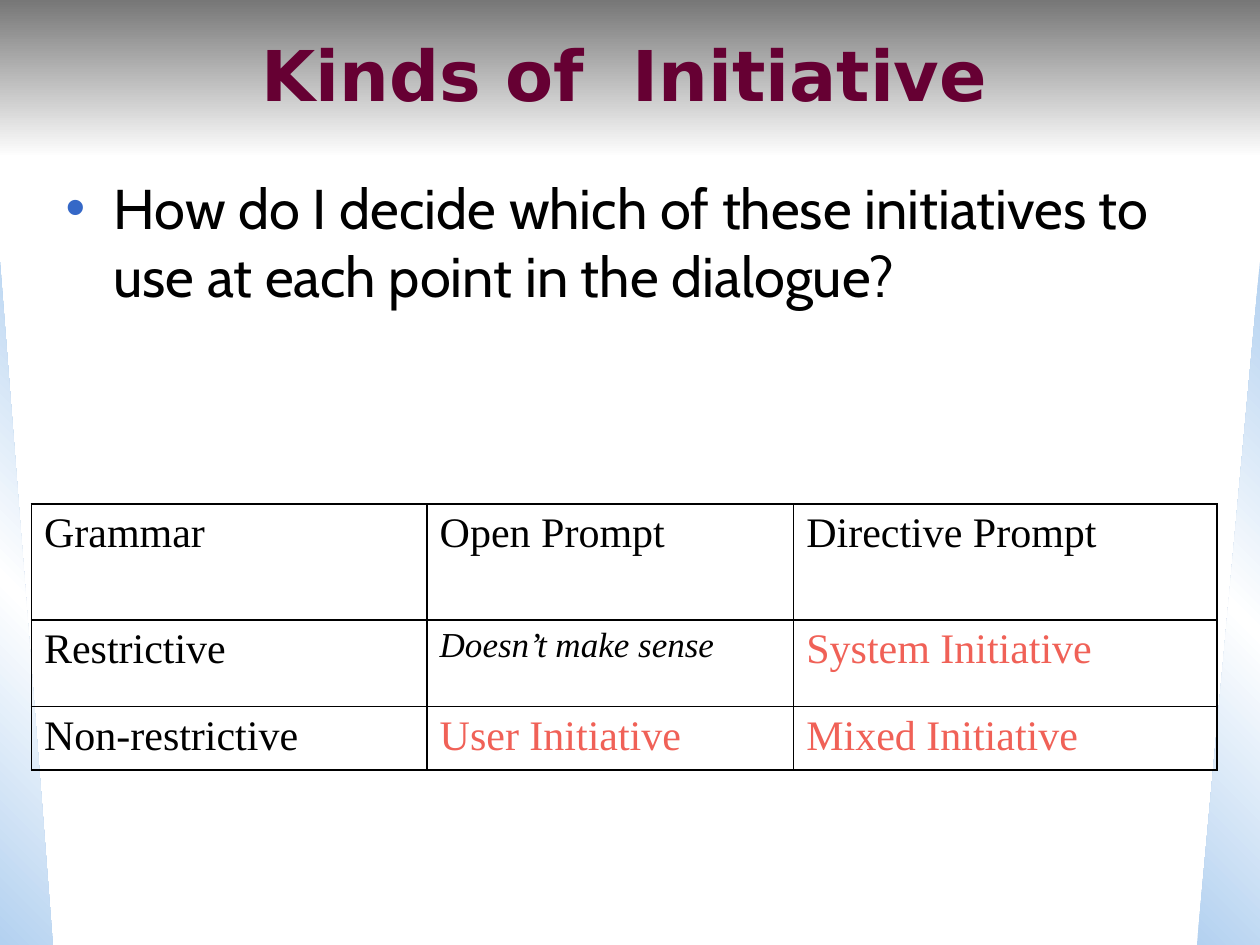
from lxml import etree
from pptx import Presentation
from pptx.dml.color import RGBColor
from pptx.enum.shapes import MSO_SHAPE
from pptx.enum.text import MSO_ANCHOR, MSO_AUTO_SIZE, PP_ALIGN
from pptx.oxml import parse_xml
from pptx.oxml.ns import nsdecls, qn
from pptx.util import Inches, Pt

RECT, TRIANGLE = MSO_SHAPE.RECTANGLE, MSO_SHAPE.RIGHT_TRIANGLE
TOP, MIDDLE = MSO_ANCHOR.TOP, MSO_ANCHOR.MIDDLE
LEFT, CENTER = PP_ALIGN.LEFT, PP_ALIGN.CENTER
NO_AUTOFIT = MSO_AUTO_SIZE.NONE

BLACK = RGBColor(0x00, 0x00, 0x00)
WHITE = RGBColor(0xFF, 0xFF, 0xFF)
GRAY = RGBColor(0x77, 0x77, 0x77)
SKY = RGBColor(0xB3, 0xD1, 0xF0)
BLUE = RGBColor(0x35, 0x68, 0xC7)
PLUM = RGBColor(0x66, 0x00, 0x33)
CORAL = RGBColor(0xF0, 0x61, 0x57)


def add_text(tf, text, color, **formats):
    p = tf.paragraphs[0]
    r = p.add_run()
    r.text = text
    r.font.color.rgb = color
    for name, value in formats.items():
        setattr(r.font, name, value)
    return p


def set_gradient(shape, colors, angle):
    step = 100000 // (len(colors) - 1)
    stops = "".join(
        f'<a:gs pos="{i * step}"><a:srgbClr val="{c}"/></a:gs>' for i, c in enumerate(colors)
    )
    fill = parse_xml(
        f'<a:gradFill {nsdecls("a")} rotWithShape="1"><a:gsLst>{stops}</a:gsLst>'
        f'<a:lin ang="{angle * 60000}" scaled="0"/></a:gradFill>'
    )
    shape._element.spPr.find(qn("a:prstGeom")).addnext(fill)


prs = Presentation()
prs.slide_width, prs.slide_height = Inches(10), Inches(7.5)
s = prs.slides.add_slide(prs.slide_layouts[1])

backdrop = [
    (RECT, (0, 0, 10, 1.25), (GRAY, WHITE), 90, False),
    (TRIANGLE, (0, 2.08, 0.42, 5.42), (SKY, WHITE, SKY), 135, False),
    (TRIANGLE, (9.5, 2.08, 0.5, 5.42), (SKY, WHITE, SKY), 225, True),
]
for i, (kind, box, colors, angle, flipped) in enumerate(backdrop):
    sp = s.shapes.add_shape(kind, *map(Inches, box))
    sp.shadow.inherit = False
    sp.line.fill.background()
    set_gradient(sp, colors, angle)
    if flipped:
        sp._element.spPr.xfrm.set("flipH", "1")
    s.shapes._spTree.insert(2 + i, sp._element)

title, body = s.shapes.title, s.placeholders[1]
for sp, box, anchor in [
    (title, (0.08, 0, 9.75, 1.17), MIDDLE),
    (body, (0.42, 1.33, 9, 5.75), TOP),
]:
    sp.left, sp.top, sp.width, sp.height = map(Inches, box)
    tf = sp.text_frame
    tf.word_wrap, tf.auto_size, tf.vertical_anchor = True, NO_AUTOFIT, anchor

p = add_text(title.text_frame, "Kinds of  Initiative", PLUM,
             name="DejaVu Sans", size=Pt(40), bold=True)
p.alignment = CENTER

question = "How do I decide which of these initiatives to use at each point in the dialogue?"
p = add_text(body.text_frame, question, BLACK, name="Cabin", size=Pt(32))
p.alignment, p.space_before = LEFT, Pt(0)
pPr = p._p.get_or_add_pPr()
pPr.set("marL", str(Inches(0.38)))
pPr.set("indent", str(-Inches(0.38)))
bullet_color = etree.SubElement(pPr, qn("a:buClr"))
etree.SubElement(bullet_color, qn("a:srgbClr"), val=str(BLUE))
etree.SubElement(pPr, qn("a:buChar"), char="•")

rows = [
    ["Grammar", "Open Prompt", "Directive Prompt"],
    ["Restrictive", "Doesn’t make sense", "System Initiative"],
    ["Non-restrictive", "User Initiative", "Mixed Initiative"],
]
rule_widths = [1.08, 1.47, 0.45, 1.08]

table = s.shapes.add_table(3, 3, Inches(0.25), Inches(4), Inches(9.41), Inches(2.11)).table
table.first_row = table.horz_banding = False
for column, width in zip(table.columns, (3.14, 2.91, 3.36)):
    column.width = Inches(width)
for row, height in zip(table.rows, (0.92, 0.69, 0.5)):
    row.height = Inches(height)

for i, texts in enumerate(rows):
    for j, text in enumerate(texts):
        cell = table.cell(i, j)
        initiative = text.endswith("Initiative")
        aside = text.startswith("Doesn’t")
        add_text(cell.text_frame, text, CORAL if initiative else BLACK,
                 name="Times New Roman", size=Pt(20 if aside else 24), italic=aside)
        tcPr = cell._tc.get_or_add_tcPr()
        for side, rule in (("L", j), ("R", j + 1), ("T", i), ("B", i + 1)):
            ln = etree.SubElement(tcPr, qn(f"a:ln{side}"), w=str(Pt(rule_widths[rule])))
            solid = etree.SubElement(ln, qn("a:solidFill"))
            etree.SubElement(solid, qn("a:srgbClr"), val=str(BLACK))
        cell.fill.background()

prs.save("out.pptx")
